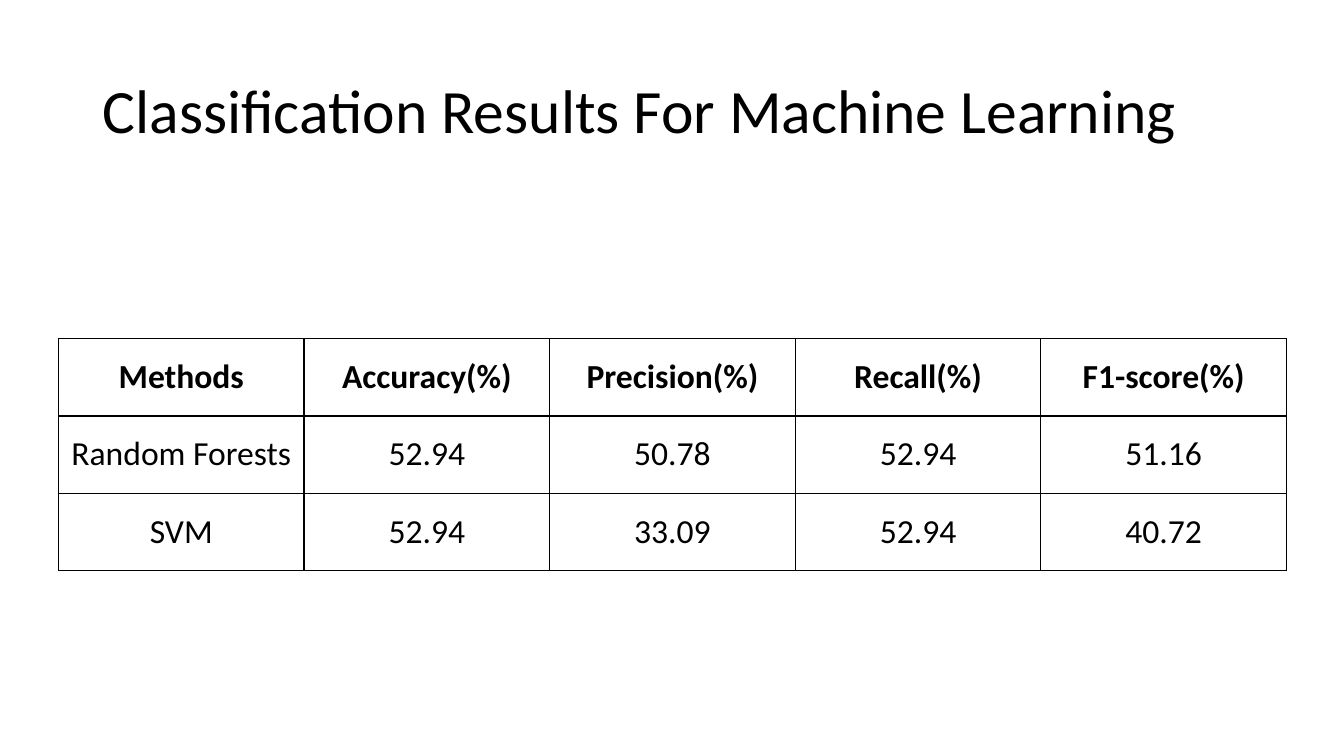
from dataclasses import dataclass

from lxml import etree
from pptx import Presentation
from pptx import util as u
from pptx.dml.color import RGBColor
from pptx.enum import text
from pptx.oxml.ns import qn


@dataclass(frozen=True)
class Theme:
    font: str = "Calibri"
    ink: str = "000000"
    title_size: int = 44
    table_size: int = 24
    border_width: int = 1


THEME = Theme()

TITLE = "Classification Results For Machine Learning"
RESULTS = [
    ("Methods", "Accuracy(%)", "Precision(%)", "Recall(%)", "F1-score(%)"),
    ("Random Forests", "52.94", "50.78", "52.94", "51.16"),
    ("SVM", "52.94", "33.09", "52.94", "40.72"),
]


def style_text(para, size, bold=False):
    for span in para.runs:
        span.font.name = THEME.font
        span.font.size = u.Pt(size)
        span.font.bold = bold
        span.font.color.rgb = RGBColor.from_string(THEME.ink)


def add_borders(cell):
    properties = cell._tc.get_or_add_tcPr()
    for side in ("a:lnL", "a:lnR", "a:lnT", "a:lnB"):
        line = etree.SubElement(properties, qn(side), w=str(u.Pt(THEME.border_width)))
        fill = etree.SubElement(line, qn("a:solidFill"))
        etree.SubElement(fill, qn("a:srgbClr"), val=THEME.ink)


def add_title(page, left, top, width, height):
    box = page.shapes.add_textbox(*map(u.Inches, (left, top, width, height)))
    frame = box.text_frame
    frame.word_wrap = True
    frame.vertical_anchor = text.MSO_ANCHOR.MIDDLE
    frame.text = TITLE
    para = frame.paragraphs[0]
    para.line_spacing = 0.9
    style_text(para, THEME.title_size)


def add_results_table(page, left, top, width, height):
    """Draw the results in a bordered grid of equal cells, with a bold header row."""
    frame = page.shapes.add_table(
        len(RESULTS), len(RESULTS[0]), *map(u.Inches, (left, top, width, height))
    )
    table = frame.table
    table.first_row = table.horz_banding = False
    for row, values in enumerate(RESULTS):
        for column, value in enumerate(values):
            cell = table.cell(row, column)
            add_borders(cell)
            cell.fill.background()
            cell.vertical_anchor = text.MSO_ANCHOR.MIDDLE
            cell.text_frame.text = value
            para = cell.text_frame.paragraphs[0]
            para.alignment = text.PP_ALIGN.CENTER
            style_text(para, THEME.table_size, bold=row == 0)


def main():
    deck = Presentation()
    deck.slide_width, deck.slide_height = u.Inches(13.33), u.Inches(7.5)
    page = deck.slides.add_slide(deck.slide_layouts[6])
    add_title(page, 0.92, 0.4, 11.5, 1.45)
    add_results_table(page, 0.58, 3.36, 12.18, 2.3)
    deck.save("out.pptx")


if __name__ == "__main__":
    main()
